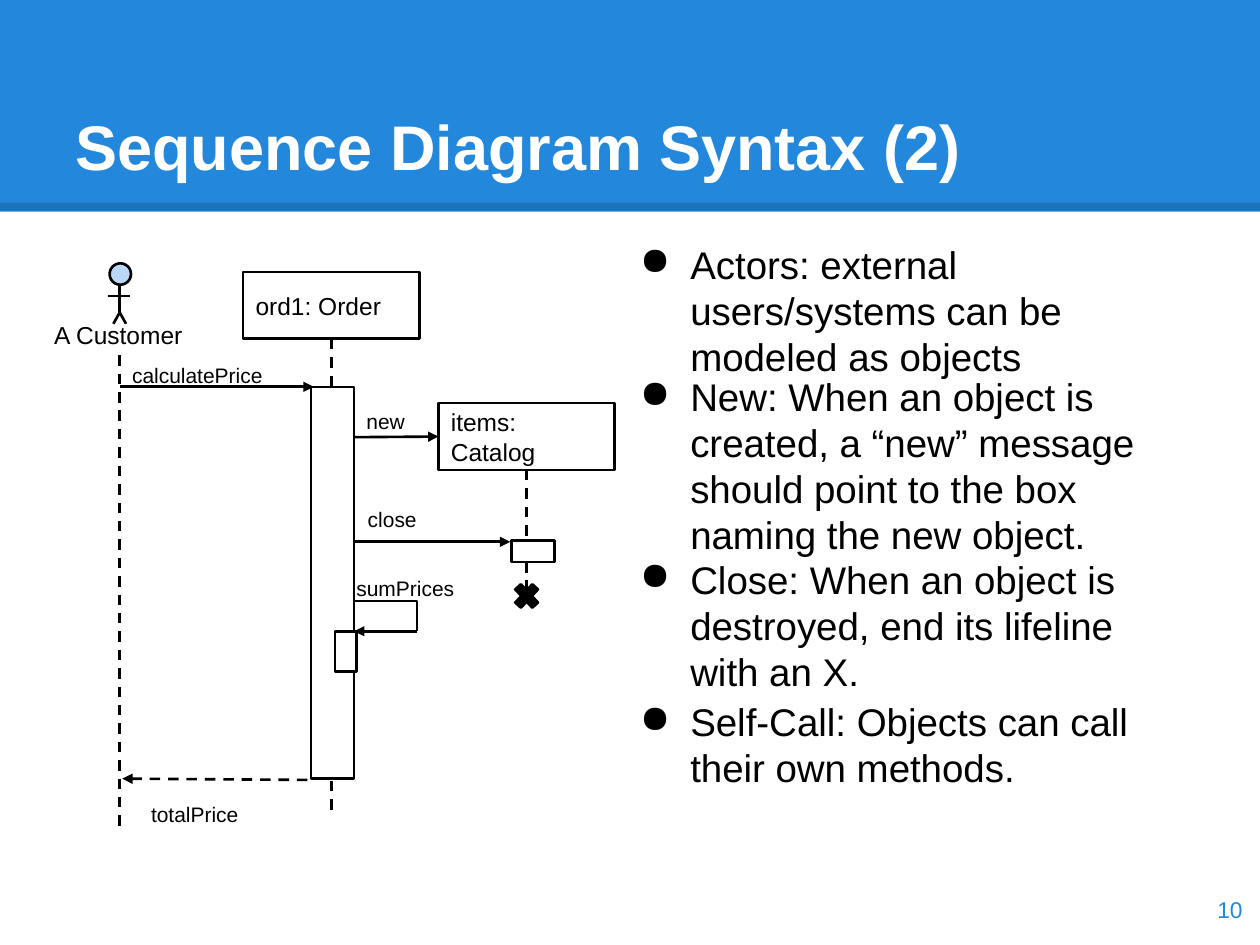
import pptx
import pptx.dml.color
import pptx.enum.dml
import pptx.enum.shapes
import pptx.enum.text
import pptx.oxml
import pptx.oxml.ns
import pptx.util
from lxml import etree

Inches = pptx.util.Inches
Pt = pptx.util.Pt
Shapes = pptx.enum.shapes.MSO_SHAPE
Align = pptx.enum.text.PP_ALIGN
Anchor = pptx.enum.text.MSO_ANCHOR

BLUE, BLACK, WHITE, HEAD_BLUE = "2388DB", "000000", "FFFFFF", "BBD7F8"

TITLE = "Sequence Diagram Syntax (2)"
PAGE_NUMBER = "10"
BULLETS = [  # top, text
    (1.81, "Actors: external users/systems can be modeled as objects"),
    (2.86, "New: When an object is created, a “new” message should point to the box naming the new object."),
    (4.31, "Close: When an object is destroyed, end its lifeline with an X."),
    (5.44, "Self-Call: Objects can call their own methods."),
]
CUSTOMER_X = 0.95
ACTIVATION_RIGHT = 2.81
OBJECTS = {  # name: left, top, lifeline end
    "ord1: Order": (1.93, 2.16, 6.45),
    "items: Catalog": (3.48, 3.2, 4.73),
}
OBJECT_SIZE = (1.4, 0.53)
ACTIVATIONS = [(2.47, 3.07, 0.34, 3.11), (4.06, 4.29, 0.34, 0.17), (2.66, 5.01, 0.17, 0.32)]
ACTOR_LIMBS = [  # start and end, measured across from the actor's middle
    (0, 2.26, 0, 2.48),
    (0, 2.48, -0.05, 2.57),
    (0, 2.48, 0.05, 2.57),
    (-0.09, 2.35, 0.08, 2.35),
]
MESSAGES = [  # start, end, dashed
    ((CUSTOMER_X, 3.07), (2.49, 3.07), False),
    ((2.44, 6.19), (0.97, 6.18), True),
    ((ACTIVATION_RIGHT, 4.3), (4.05, 4.3), False),
    ((3.31, 5.01), (ACTIVATION_RIGHT, 5.01), False),
]
MESSAGE_LABELS = [  # text, left, top, width
    ("calculatePrice", 0.95, 2.78, 1.4),
    ("new", 2.81, 3.14, 0.67),
    ("close", 2.82, 3.92, 1.21),
    ("sumPrices", 2.73, 4.47, 1.21),
    ("totalPrice", 1.1, 6.26, 1.21),
]
SELF_CALL = [(2.82, 4.77), (3.31, 4.77), (3.31, 5.01)]

presentation = pptx.Presentation()
presentation.slide_width, presentation.slide_height = Inches(10), Inches(7.5)
slide = presentation.slides.add_slide(presentation.slide_layouts[6])


def color(value):
    return pptx.dml.color.RGBColor.from_string(value)


def write(shape, text, size=14, ink=BLACK, bold=False, align=Align.LEFT, anchor=Anchor.TOP, bullet=False):
    frame = shape.text_frame
    frame.word_wrap = True
    frame.vertical_anchor = anchor
    frame.margin_left = frame.margin_right = frame.margin_top = frame.margin_bottom = Inches(0.1)
    paragraph = frame.paragraphs[0]
    paragraph.text = text
    paragraph.alignment = align
    if bullet:
        properties = paragraph._p.get_or_add_pPr()
        properties.set("marL", str(Inches(0.5)))
        properties.set("indent", str(Inches(-0.4)))
        bullet_color = etree.SubElement(properties, pptx.oxml.ns.qn("a:buClr"))
        etree.SubElement(bullet_color, pptx.oxml.ns.qn("a:srgbClr"), val=BLACK)
        etree.SubElement(properties, pptx.oxml.ns.qn("a:buChar"), char="●")
    font = paragraph.runs[0].font
    font.name, font.size, font.bold = "Arial", Pt(size), bold
    font.color.rgb = color(ink)


def add_text(text, left, top, width, height, **style):
    box = slide.shapes.add_textbox(Inches(left), Inches(top), Inches(width), Inches(height))
    write(box, text, **style)


def add_block(left, top, width, height, kind=Shapes.RECTANGLE, fill=WHITE, outlined=True):
    shape = slide.shapes.add_shape(kind, Inches(left), Inches(top), Inches(width), Inches(height))
    shape.shadow.inherit = False
    shape.fill.solid()
    shape.fill.fore_color.rgb = color(fill)
    if outlined:
        shape.line.color.rgb = color(BLACK)
        shape.line.width = Pt(1.5)
    else:
        shape.line.fill.background()
    return shape


def add_line(start, end, width=1.5, dashed=False, arrow=False, alpha=None):
    connector = slide.shapes.add_connector(
        pptx.enum.shapes.MSO_CONNECTOR.STRAIGHT, *[Inches(value) for value in (*start, *end)]
    )
    line = connector.line
    line.color.rgb = color(BLACK)
    line.width = Pt(width)
    if dashed:
        line.dash_style = pptx.enum.dml.MSO_LINE.DASH
    properties = connector._element.spPr
    outline = line._get_or_add_ln()
    if arrow:
        etree.SubElement(outline, pptx.oxml.ns.qn("a:tailEnd"), type="triangle")
    if alpha is not None:
        ink = outline.find(".//" + pptx.oxml.ns.qn("a:srgbClr"))
        etree.SubElement(ink, pptx.oxml.ns.qn("a:alpha"), val=str(alpha * 1000))
    etree.SubElement(properties, pptx.oxml.ns.qn("a:effectLst"))
    return connector


# Title band and bullets
add_block(0, 0, 10, 1.68, fill=BLUE, outlined=False)
add_line((0, 1.64), (10, 1.64), width=4.5, alpha=15)
add_text(TITLE, 0.5, 0.3, 9, 1.25, size=36, ink=WHITE, bold=True, anchor=Anchor.BOTTOM)
for top, text in BULLETS:
    add_text(text, 4.88, top, 4.62, 0.94, size=22, bullet=True)

# Objects, lifelines and activations
object_boxes = {}
for name, (left, top, lifeline_end) in OBJECTS.items():
    box = add_block(left, top, *OBJECT_SIZE)
    write(box, name, anchor=Anchor.MIDDLE)
    middle = left + OBJECT_SIZE[0] / 2
    lifeline = add_line((middle, top + OBJECT_SIZE[1]), (middle, lifeline_end), dashed=True)
    lifeline.begin_connect(box, 2)
    object_boxes[name] = box
for activation in ACTIVATIONS:
    add_block(*activation)
destruction = add_block(4.05, 4.59, 0.26, 0.28, kind=Shapes.MATH_MULTIPLY, fill=BLACK)
destruction.adjustments[0] = 0.235

# Customer
add_block(0.87, 2.09, 0.17, 0.17, kind=Shapes.OVAL, fill=HEAD_BLUE)
for start_x, start_y, end_x, end_y in ACTOR_LIMBS:
    add_line((CUSTOMER_X + start_x, start_y), (CUSTOMER_X + end_x, end_y))
add_text("A Customer", 0.32, 2.44, 1.24, 0.28, align=Align.CENTER)
add_line((CUSTOMER_X, 2.82), (CUSTOMER_X, 6.58), dashed=True)

# Messages
for start, end, dashed in MESSAGES:
    add_line(start, end, dashed=dashed, arrow=True)
creation = add_line((ACTIVATION_RIGHT, 3.47), (3.48, 3.46), arrow=True)
creation.end_connect(object_boxes["items: Catalog"], 1)

points = [(Inches(x), Inches(y)) for x, y in SELF_CALL]
builder = slide.shapes.build_freeform(*points[0])
builder.add_line_segments(points[1:], close=False)
self_call = builder.convert_to_shape()
self_call.shadow.inherit = False
self_call.fill.background()
self_call.line.color.rgb = color(BLACK)
self_call.line.width = Pt(1.5)

for text, left, top, width in MESSAGE_LABELS:
    add_text(text, left, top, width, 0.32, size=12)
add_text(PAGE_NUMBER, 9.36, 6.93, 0.6, 0.57, size=13, ink=BLUE, align=Align.RIGHT, anchor=Anchor.MIDDLE)

presentation.save("out.pptx")
